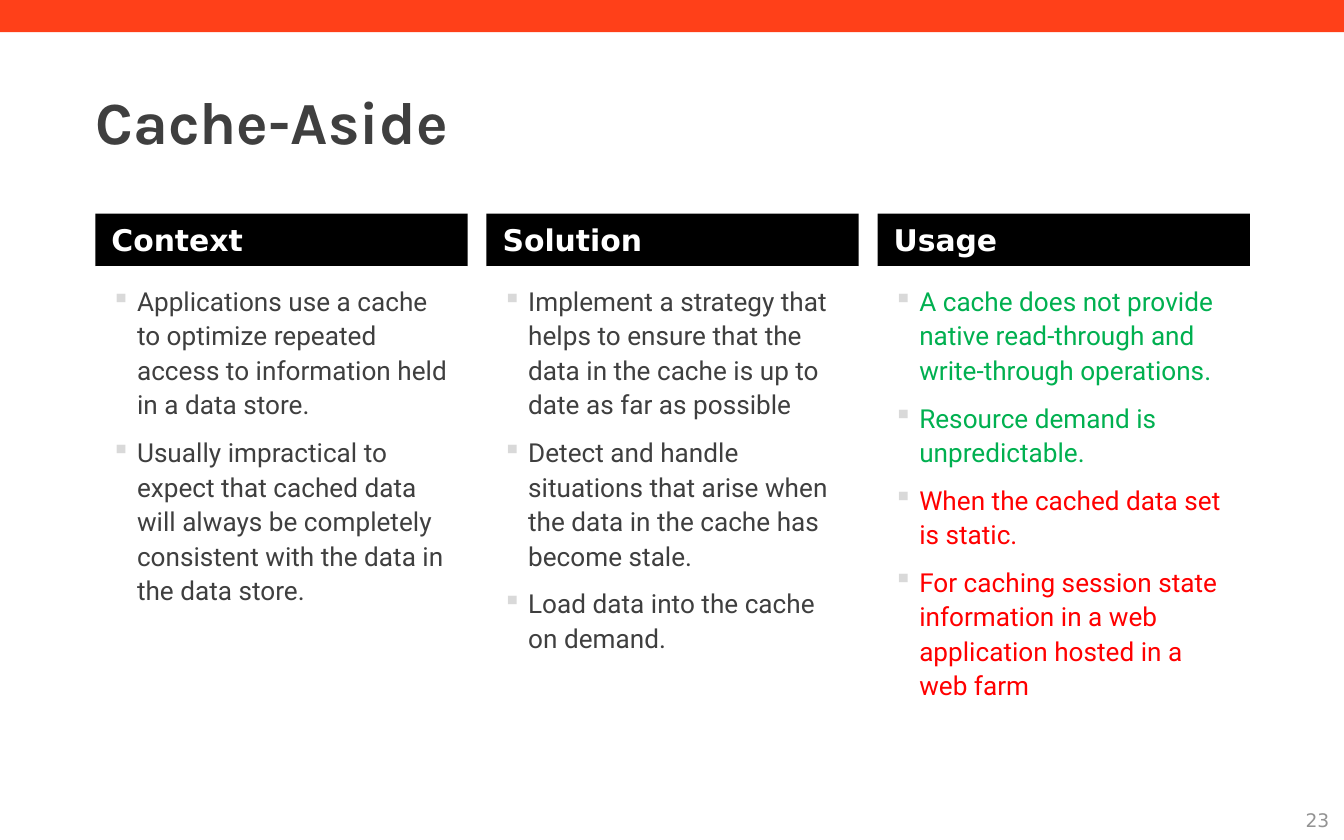
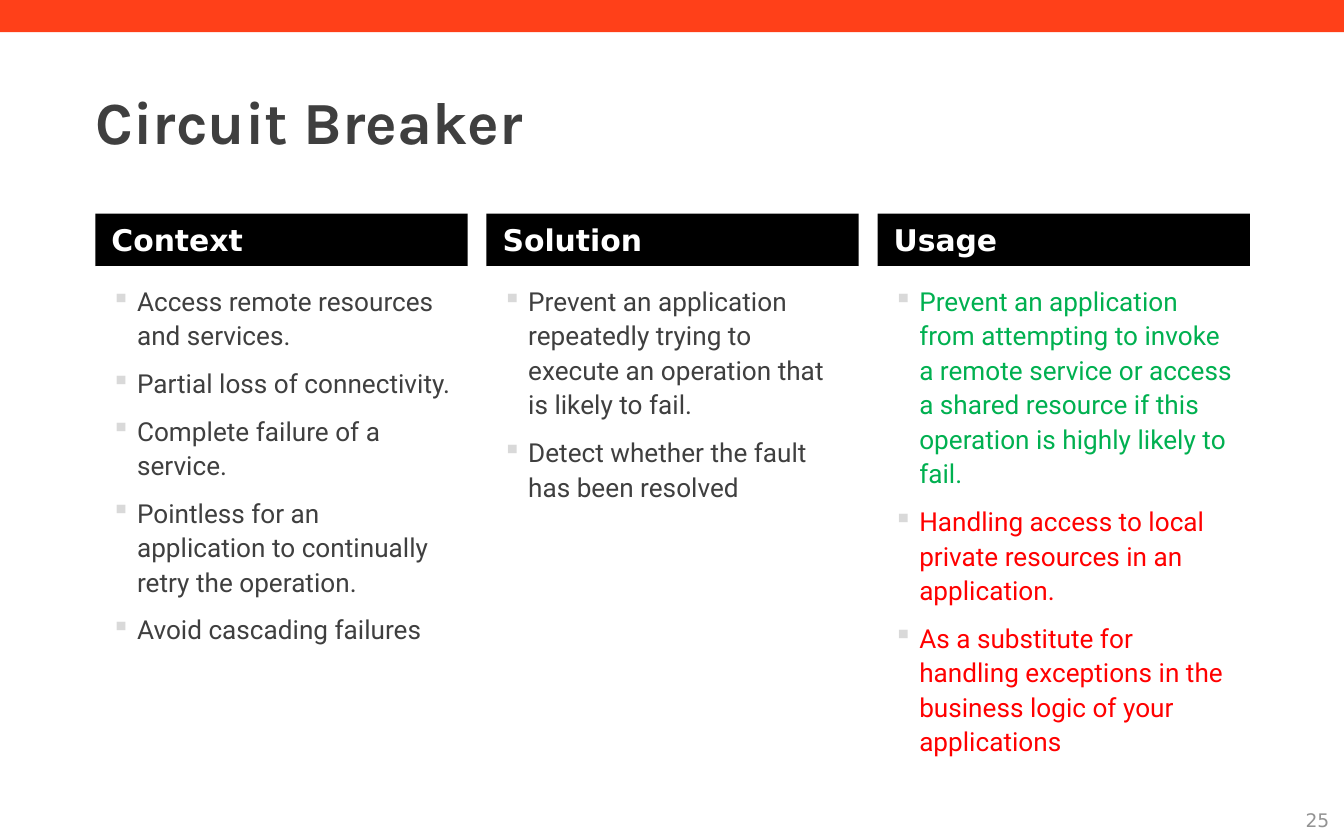
from lxml.etree import SubElement
from pptx import Presentation
from pptx.dml.color import RGBColor as RGB
from pptx.enum.shapes import MSO_SHAPE as SHAPE
from pptx.enum.text import MSO_ANCHOR as ANCHOR, MSO_AUTO_SIZE as FIT, PP_ALIGN as ALIGN
from pptx.oxml.ns import qn
from pptx.util import Pt

PX = 9144
COLORS = {
    "band": "FF4019",
    "header": "000000",
    "white": "FFFFFF",
    "text": "3F3F3F",
    "number": "939393",
    "bullet": "D9D9D9",
    "good": "00B050",
    "bad": "FF0000",
}
FONTS = {
    "title": {"name": "Karla", "size": Pt(32), "bold": True},
    "header": {"name": "DejaVu Sans", "size": Pt(16), "bold": True},
    "body": {"name": "Roboto", "size": Pt(14), "bold": False},
    "number": {"name": "DejaVu Sans", "size": Pt(10), "bold": False},
}
WIDTH, HEIGHT = 1000, 625
LEFT, COL_W, PITCH = 71, 277, 291
HEAD_TOP, HEAD_H, BODY_H = 159, 39, 363
INDENT = 19
HEADINGS = ("Context", "Solution", "Usage")

SLIDES = [
    ("Cache-Aside", "23", [
        [("text", "Applications use a cache to optimize repeated access to "
                  "information held in a data store."),
         ("text", "Usually impractical to expect that cached data will always be "
                  "completely consistent with the data in the data store.")],
        [("text", "Implement a strategy that helps to ensure that the data in the "
                  "cache is up to date as far as possible"),
         ("text", "Detect and handle situations that arise when the data in the "
                  "cache has become stale."),
         ("text", "Load data into the cache on demand.")],
        [("good", "A cache does not provide native read-through and write-through "
                  "operations."),
         ("good", "Resource demand is unpredictable."),
         ("bad", "When the cached data set is static."),
         ("bad", "For caching session state information in a web application "
                 "hosted in a web farm")],
    ]),
    ("Circuit Breaker", "25", [
        [("text", "Access remote resources and services."),
         ("text", "Partial loss of connectivity."),
         ("text", "Complete failure of a service."),
         ("text", "Pointless for an application to continually retry the operation."),
         ("text", "Avoid cascading failures")],
        [("text", "Prevent an application repeatedly trying to execute an operation "
                  "that is likely to fail."),
         ("text", "Detect whether the fault has been resolved")],
        [("good", "Prevent an application from attempting to invoke a remote service "
                  "or access a shared resource if this operation is highly likely "
                  "to fail."),
         ("bad", "Handling access to local private resources in an application."),
         ("bad", "As a substitute for handling exceptions in the business logic of "
                 "your applications")],
    ]),
]


def assign(target, values):
    for name, value in values.items():
        setattr(target, name, value)


class Deck:
    def __init__(self):
        self.prs = Presentation()
        assign(self.prs, {"slide_width": WIDTH * PX, "slide_height": HEIGHT * PX})
        self.slide = None

    def new_slide(self, title, number):
        self.slide = self.prs.slides.add_slide(self.prs.slide_layouts[5])
        self.rect(0, 0, WIDTH, 24, "band")
        self.title(title)
        self.number(number)

    def rect(self, x, y, w, h, color):
        sp = self.slide.shapes.add_shape(SHAPE.RECTANGLE, *(v * PX for v in (x, y, w, h)))
        sp.shadow.inherit = False
        sp.fill.solid()
        sp.fill.fore_color.rgb = RGB.from_string(COLORS[color])
        sp.line.fill.background()
        return sp

    def frame(self, sp, inset_x=0, inset_y=0, anchor=ANCHOR.TOP):
        tf = sp.text_frame
        assign(tf, {
            "word_wrap": True, "auto_size": FIT.NONE, "vertical_anchor": anchor,
            "margin_left": inset_x * PX, "margin_right": inset_x * PX,
            "margin_top": inset_y * PX, "margin_bottom": inset_y * PX,
        })
        return tf

    def add_text(self, p, text, font, color, align=ALIGN.LEFT):
        p.alignment = align
        r = p.add_run()
        r.text = text
        assign(r.font, FONTS[font])
        r.font.color.rgb = RGB.from_string(COLORS[color])

    def title(self, text):
        sp = self.slide.shapes.title
        assign(sp, {"left": LEFT * PX, "top": 63 * PX, "width": 748 * PX, "height": 54 * PX})
        self.add_text(self.frame(sp).paragraphs[0], text, "title", "text")

    def number(self, text):
        sp = self.slide.shapes.add_textbox(*(v * PX for v in (717, 596, 272, 29)))
        tf = self.frame(sp, anchor=ANCHOR.MIDDLE)
        self.add_text(tf.paragraphs[0], text, "number", "number", ALIGN.RIGHT)

    def header(self, x, text):
        sp = self.rect(x, HEAD_TOP, COL_W, HEAD_H, "header")
        self.add_text(self.frame(sp, 12, 6).paragraphs[0], text, "header", "white")

    def bullet(self, p):
        pPr = p._p.get_or_add_pPr()
        pPr.set("marL", str(INDENT * PX))
        pPr.set("indent", str(-INDENT * PX))
        clr = SubElement(pPr, qn("a:buClr"))
        SubElement(clr, qn("a:srgbClr")).set("val", COLORS["bullet"])
        SubElement(pPr, qn("a:buChar")).set("char", "▪")

    def bullets(self, x, items):
        sp = self.rect(x, HEAD_TOP + HEAD_H, COL_W, BODY_H, "white")
        tf = self.frame(sp, 12, 12)
        for i, (color, text) in enumerate(items):
            p = tf.add_paragraph() if i else tf.paragraphs[0]
            self.bullet(p)
            assign(p, {"line_spacing": 1.1, "space_before": Pt(3 if i else 0),
                       "space_after": Pt(4)})
            self.add_text(p, text, "body", color)


def main():
    deck = Deck()
    for title, number, columns in SLIDES:
        deck.new_slide(title, number)
        for i, (heading, items) in enumerate(zip(HEADINGS, columns)):
            x = LEFT + i * PITCH
            deck.header(x, heading)
            deck.bullets(x, items)
    deck.prs.save("out.pptx")


if __name__ == "__main__":
    main()
